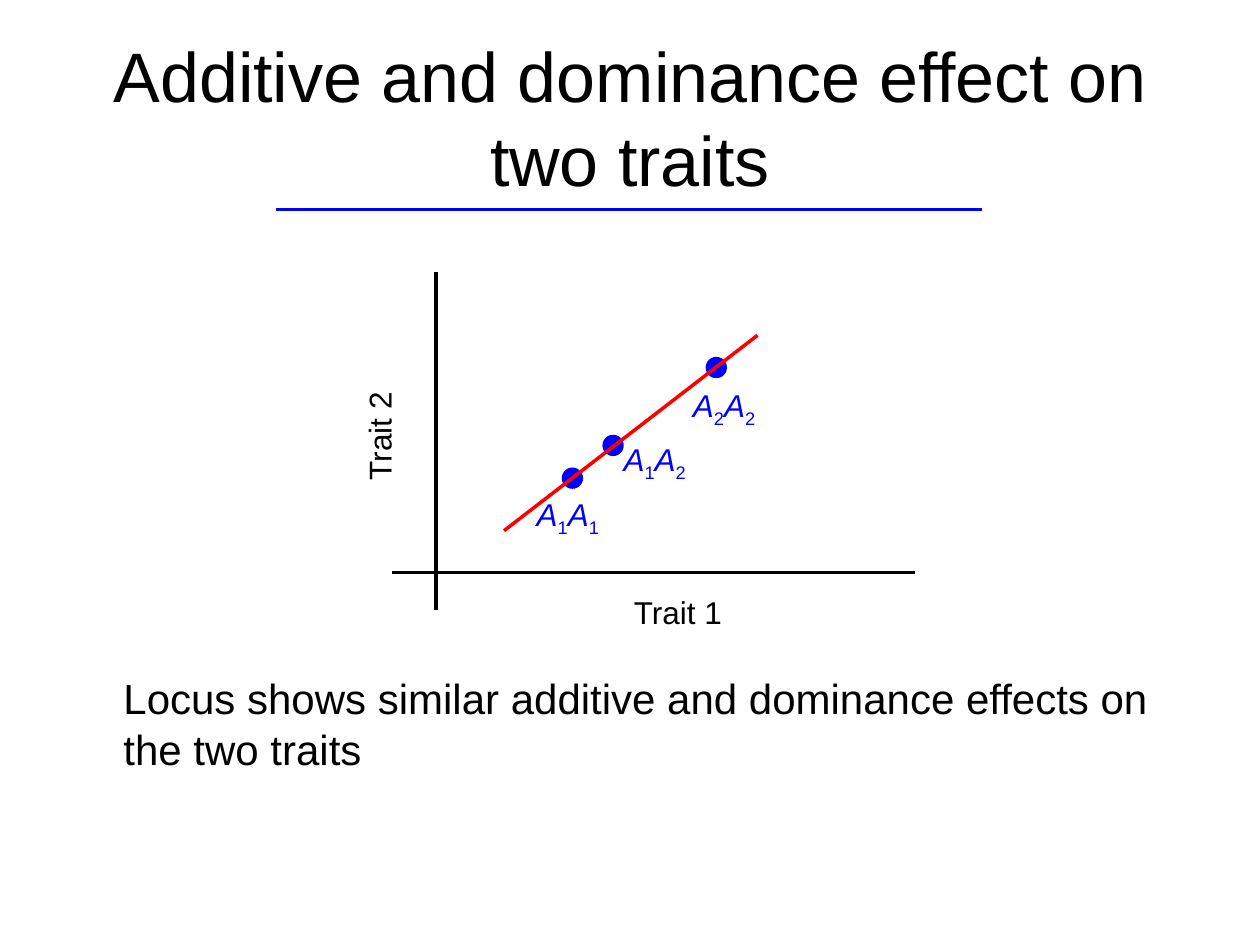
from dataclasses import dataclass

from lxml.etree import SubElement
from pptx import Presentation
from pptx.dml.color import RGBColor
from pptx.enum.shapes import MSO_CONNECTOR as Connector, MSO_SHAPE as Shape
from pptx.enum.text import MSO_ANCHOR as Anchor, PP_ALIGN as Align
from pptx.oxml.ns import qn
from pptx.util import Cm, Pt


@dataclass(frozen=True)
class Theme:
    font: str = "Arial"
    black: RGBColor = RGBColor(0, 0, 0)
    blue: RGBColor = RGBColor(0, 0, 255)
    red: RGBColor = RGBColor(255, 0, 0)
    title_size: int = 40
    body_size: int = 24
    label_size: int = 18
    line_width: int = 2


THEME = Theme()


@dataclass(frozen=True)
class Box:
    left: float
    top: float
    width: float
    height: float

    def inner(self, left, top, width, height):
        """Return a box placed relative to this one."""
        return Box(self.left + left, self.top + top, width, height)

    def lengths(self):
        return [Cm(n) for n in (self.left, self.top, self.width, self.height)]


def set_font(font, size, color, **values):
    font.color.rgb = color
    for name, value in {"name": THEME.font, "size": Pt(size), **values}.items():
        setattr(font, name, value)


def add_line(slide, box, start, end, color):
    """Draw a line between two points relative to the box."""
    points = [Cm(n) for x, y in (start, end) for n in (box.left + x, box.top + y)]
    line = slide.shapes.add_connector(Connector.STRAIGHT, *points)
    line.line.color.rgb = color
    line.line.width = Pt(THEME.line_width)
    SubElement(line._element.spPr, qn("a:effectLst"))


def add_text(slide, box, runs, size, color, align=Align.LEFT, rotation=0):
    """Add a text box; each run is a (text, font values, baseline) triple."""
    shape = slide.shapes.add_textbox(*box.lengths())
    shape.rotation = rotation
    shape.text_frame.word_wrap = True
    paragraph = shape.text_frame.paragraphs[0]
    paragraph.alignment = align
    for text, values, baseline in runs:
        run = paragraph.add_run()
        run.text = text
        set_font(run.font, size, color, **values)
        if baseline:
            run.font._element.set("baseline", str(baseline))


def add_title(slide, box, text):
    title = slide.shapes.title
    for name, value in zip(("left", "top", "width", "height"), box.lengths()):
        setattr(title, name, value)
    title.text_frame.text = text
    title.text_frame.vertical_anchor = Anchor.MIDDLE
    paragraph = title.text_frame.paragraphs[0]
    paragraph.alignment = Align.CENTER
    set_font(paragraph.runs[0].font, THEME.title_size, THEME.black)
    # Blue rule under the title
    add_line(slide, box, (4.29, 3.46), (18.52, 3.46), THEME.blue)


def add_genotype(slide, box, center, label_at, alleles):
    """Add a dot and its label, such as A1A2 with subscript numbers."""
    diameter = 0.43
    x, y = (n - diameter / 2 for n in center)
    dot_box = box.inner(x, y, diameter, diameter)
    dot = slide.shapes.add_shape(Shape.OVAL, *dot_box.lengths())
    dot.shadow.inherit = False
    dot.fill.solid()
    dot.fill.fore_color.rgb = THEME.blue
    dot.line.fill.background()
    runs = [run for allele in alleles
            for run in (("A", {"italic": True}, 0), (allele, {}, -25000))]
    add_text(slide, box.inner(*label_at, 1.96, 1.12), runs,
             THEME.label_size, THEME.blue)


def add_trait_plot(slide, box):
    # Axes
    axis_x, axis_y = 0.89, 6.05
    add_line(slide, box, (axis_x, 0), (axis_x, box.height), THEME.black)
    add_line(slide, box, (0, axis_y), (box.width, axis_y), THEME.black)

    # Axis names
    for name, left, top, rotation in (("Trait 1", 2.41, 6.35, 0),
                                      ("Trait 2", -3.61, 2.79, 270)):
        add_text(slide, box.inner(left, top, 6.71, 1.02), [(name, {}, 0)],
                 THEME.label_size, THEME.black, Align.CENTER, rotation)

    # Genotypes, with the regression line in front of the dots
    for center, label_at, alleles in (((3.64, 4.15), (2.67, 4.37), "11"),
                                      ((4.46, 3.49), (4.42, 3.25), "12"),
                                      ((6.54, 1.92), (5.82, 2.16), "22")):
        add_genotype(slide, box, center, label_at, alleles)
    add_line(slide, box, (2.26, 5.21), (7.37, 1.27), THEME.red)


def add_conclusion(slide, box, text):
    add_text(slide, box, [(text, {}, 0)], THEME.body_size, THEME.black)


def main():
    presentation = Presentation()
    presentation.slide_width, presentation.slide_height = Cm(25.4), Cm(19.05)
    slide = presentation.slides.add_slide(presentation.slide_layouts[5])
    add_title(slide, Box(1.27, 0.76, 22.86, 3.18),
              "Additive and dominance effect on two traits")
    add_trait_plot(slide, Box(7.9, 5.49, 10.54, 6.81))
    add_conclusion(slide, Box(2.24, 13.44, 22.07, 2.29),
                   "Locus shows similar additive and dominance effects on the two traits")
    presentation.save("out.pptx")


if __name__ == "__main__":
    main()
